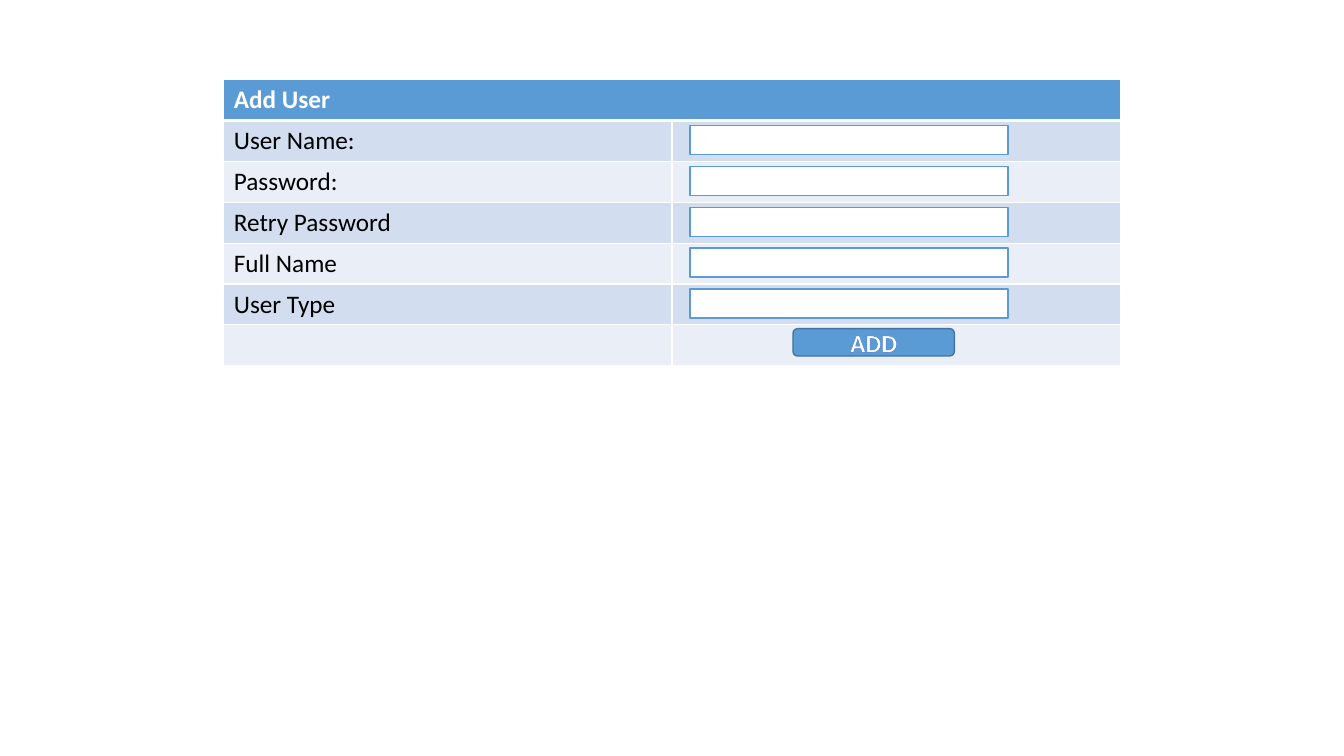
import pptx
import pptx.dml.color
import pptx.enum.shapes
import pptx.enum.text
import pptx.oxml.ns
import pptx.util
import lxml.etree

RGBColor = pptx.dml.color.RGBColor
WHITE = RGBColor(0xFF, 0xFF, 0xFF)
BLACK = RGBColor(0x00, 0x00, 0x00)
BLUE = RGBColor(0x5B, 0x9B, 0xD5)
DARK_BLUE = RGBColor(0x43, 0x73, 0x9E)
TEXT_OUTLINE = RGBColor(0x44, 0x72, 0xC4)
BANDS = (RGBColor(0xEA, 0xEF, 0xF7), RGBColor(0xD2, 0xDE, 0xEF))

PRESETS = pptx.enum.shapes.MSO_SHAPE
LABELS = ("User Name:", "Password:", "Retry Password", "Full Name", "User Type")


def make_line(parent, tag, color, points):
    """Insert a solid line element at the front of its parent."""
    line = lxml.etree.Element(pptx.oxml.ns.qn(tag), w=str(int(pptx.util.Pt(points))))
    fill = lxml.etree.SubElement(line, pptx.oxml.ns.qn("a:solidFill"))
    lxml.etree.SubElement(fill, pptx.oxml.ns.qn("a:srgbClr"), val=str(color))
    parent.insert(0, line)


class FormSlide:
    """A form laid out on a grid of table columns and rows."""
    font = "Calibri"
    text_size = pptx.util.Pt(18)
    left, top = pptx.util.Inches(2.22), pptx.util.Inches(0.79)
    width, height = pptx.util.Inches(8.89), pptx.util.Inches(2.84)
    columns, rows = 2, len(LABELS) + 2

    def __init__(self, deck):
        self.slide = deck.slides.add_slide(deck.slide_layouts[6])
        self.column = self.width // self.columns
        self.row = self.height // self.rows

    def add_text(self, frame, text, color, bold=False):
        run = frame.paragraphs[0].add_run()
        run.text = text
        run.font.name = self.font
        run.font.size = self.text_size
        run.font.bold = bold
        run.font.color.rgb = color
        return run

    def form_table(self, heading, labels):
        form = self.slide.shapes.add_table(
            self.rows, self.columns, self.left, self.top, self.width, self.height).table
        form.horz_banding = False
        for r, form_row in enumerate(form.rows):
            form_row.height = self.row
            for cell in form_row.cells:
                cell.fill.solid()
                cell.fill.fore_color.rgb = BANDS[r % 2] if r else BLUE
                borders = (("a:lnB", 1 if r else 3), ("a:lnT", 3 if r == 1 else 1),
                           ("a:lnR", 1), ("a:lnL", 1))
                for tag, points in borders:
                    make_line(cell._tc.get_or_add_tcPr(), tag, WHITE, points)
        form.cell(0, 0).merge(form.cell(0, 1))
        self.add_text(form.cell(0, 0).text_frame, heading, WHITE, bold=True)
        for r, label in enumerate(labels, start=1):
            self.add_text(form.cell(r, 0).text_frame, label, BLACK)

    def box(self, preset, column, row, columns, rows, fill, outline):
        shape = self.slide.shapes.add_shape(
            preset, int(self.left + column * self.column), int(self.top + row * self.row),
            int(columns * self.column), int(rows * self.row))
        shape.shadow.inherit = False
        shape.fill.solid()
        shape.fill.fore_color.rgb = fill
        shape.line.color.rgb = outline
        shape.line.width = pptx.util.Pt(1)
        return shape

    def field(self, row):
        self.box(PRESETS.RECTANGLE, 1.04, row + 0.12, 0.71, 0.71, WHITE, BLUE)

    def button(self, caption, row):
        button = self.box(PRESETS.ROUNDED_RECTANGLE, 1.27, row + 0.09, 0.36, 0.67,
                          BLUE, DARK_BLUE)
        frame = button.text_frame
        frame.vertical_anchor = pptx.enum.text.MSO_ANCHOR.MIDDLE
        frame.paragraphs[0].alignment = pptx.enum.text.PP_ALIGN.CENTER
        run = self.add_text(frame, caption, WHITE, bold=True)
        make_line(run._r.get_or_add_rPr(), "a:ln", TEXT_OUTLINE, 0.8)


def main():
    deck = pptx.Presentation()
    deck.slide_width = pptx.util.Inches(13.33)
    deck.slide_height = pptx.util.Inches(7.5)
    add_user = FormSlide(deck)

    # Form with its labels
    add_user.form_table("Add User", LABELS)

    # Submit button in the last row
    add_user.button("ADD", add_user.rows - 1)

    # One input field beside each label
    for row in range(1, len(LABELS) + 1):
        add_user.field(row)

    deck.save("out.pptx")


if __name__ == "__main__":
    main()
